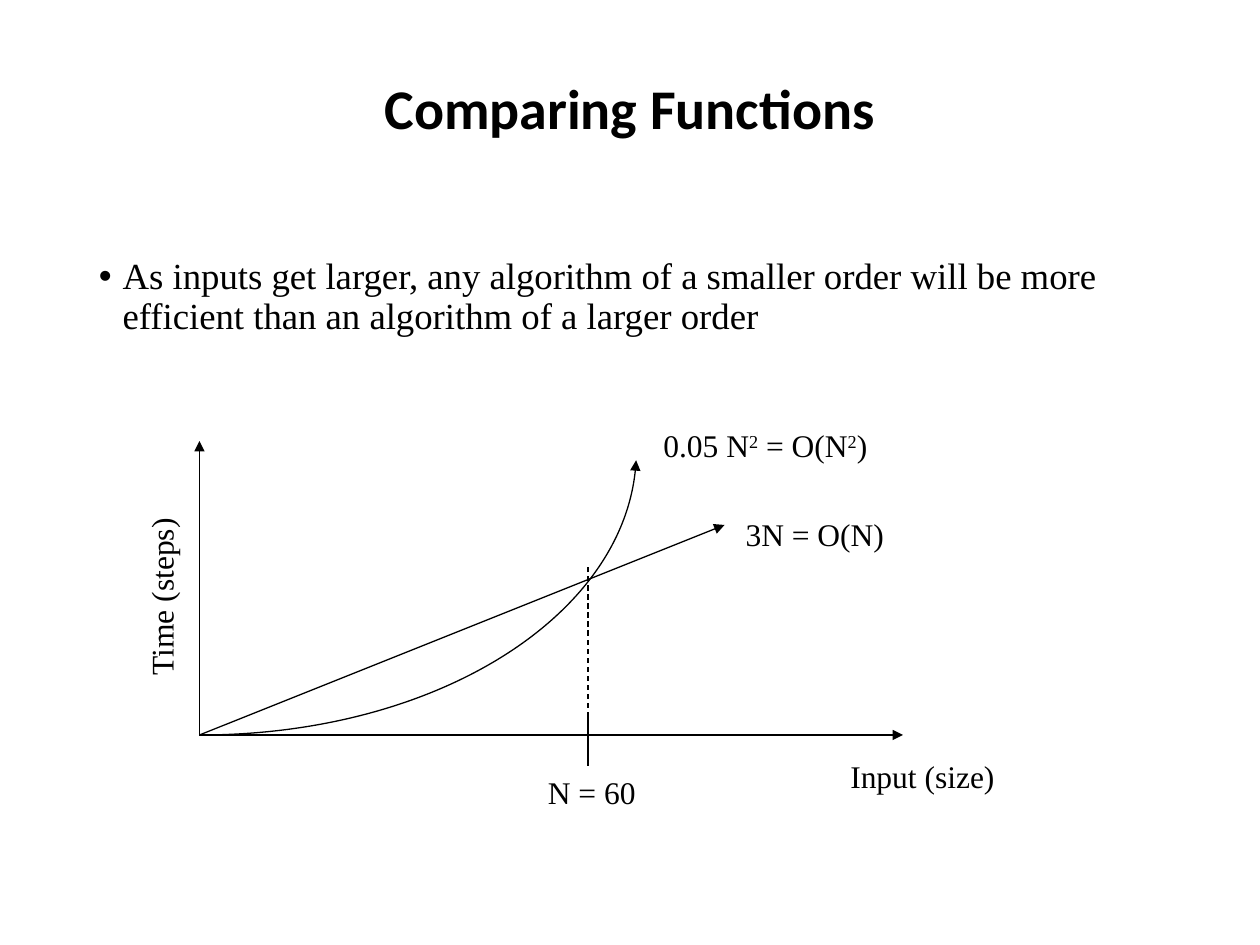
from dataclasses import dataclass

import pptx
import pptx.dml.color
import pptx.enum.dml
import pptx.enum.shapes
import pptx.enum.text
import pptx.oxml.ns
import pptx.util
from lxml import etree

Pt = pptx.util.Pt
qn = pptx.oxml.ns.qn
Align = pptx.enum.text.PP_ALIGN
Anchor = pptx.enum.text.MSO_ANCHOR
Point = tuple[float, float]

BLACK = pptx.dml.color.RGBColor(0, 0, 0)
HEADING_FONT = "Calibri"
BODY_FONT = "Times New Roman"
LINE_WIDTH = 0.75
LABEL_HEIGHT = 28.8

ORIGIN_X, ORIGIN_Y = 114, 420
ORIGIN = (ORIGIN_X, ORIGIN_Y)
CROSSING_X = 336


@dataclass(frozen=True)
class Segment:
    start: Point
    end: Point
    arrow: bool = False
    dashed: bool = False


@dataclass(frozen=True)
class Label:
    text: str
    left: float
    top: float
    width: float
    rotation: float = 0


SEGMENTS = [
    Segment(ORIGIN, (ORIGIN_X, 252), arrow=True),
    Segment(ORIGIN, (516, ORIGIN_Y), arrow=True),
    Segment(ORIGIN, (414, 300), arrow=True),
    Segment((CROSSING_X, 408), (CROSSING_X, 438)),
    Segment((CROSSING_X, ORIGIN_Y), (CROSSING_X, 324), dashed=True),
]
QUADRATIC_CURVE = [ORIGIN, (249.1, ORIGIN_Y), (359.3, 349.9), (363.5, 263)]
LABELS = [
    Label("Time (steps)", 39.6, 326.2, 105.1, rotation=270),
    Label("Input (size)", 478.8, 429, 97.2),
    Label("3N = O(N)", 419, 291, 93.6),
    Label("0.05 N^2^ = O(N^2^)", 372, 240, 132.5),
    Label("N = 60", 306, 438, 64.8),
]


def add_text(slide, text: str, left: float, top: float, width: float, height: float, *,
             size: float, font: str = BODY_FONT, bold: bool = False, align=Align.LEFT,
             anchor=Anchor.TOP, wrap: bool = True, line_spacing: float = 1,
             space_before: float = 0, bullet_indent: float = 0,
             bottom_inset: float = 3.6, rotation: float = 0) -> None:
    """Add a one-paragraph text box; text between ^ marks is superscript."""
    box = slide.shapes.add_textbox(Pt(left), Pt(top), Pt(width), Pt(height))
    box.rotation = rotation
    frame = box.text_frame
    frame.word_wrap = wrap
    frame.vertical_anchor = anchor
    frame.margin_bottom = Pt(bottom_inset)
    paragraph = frame.paragraphs[0]
    paragraph.alignment = align
    paragraph.line_spacing = line_spacing
    paragraph.space_before = Pt(space_before)
    if bullet_indent:
        properties = paragraph._p.get_or_add_pPr()
        properties.set("marL", str(Pt(bullet_indent)))
        properties.set("indent", str(-Pt(bullet_indent)))
        etree.SubElement(properties, qn("a:buFont"), typeface="Arial")
        etree.SubElement(properties, qn("a:buChar"), char="•")
    for index, part in enumerate(text.split("^")):
        run = paragraph.add_run()
        run.text = part
        run.font.name = font
        run.font.size = Pt(size)
        run.font.bold = bold
        run.font.color.rgb = BLACK
        if index % 2:
            run.font._element.set("baseline", "30000")


def style_line(line, arrow: bool = False, dashed: bool = False) -> None:
    line.color.rgb = BLACK
    line.width = Pt(LINE_WIDTH)
    if dashed:
        line.dash_style = pptx.enum.dml.MSO_LINE.DASH
    if arrow:
        etree.SubElement(line._get_or_add_ln(), qn("a:tailEnd"), type="triangle")


def add_segment(slide, segment: Segment) -> None:
    connector = slide.shapes.add_connector(
        pptx.enum.shapes.MSO_CONNECTOR.STRAIGHT,
        *(Pt(value) for value in segment.start + segment.end))
    style_line(connector.line, segment.arrow, segment.dashed)
    etree.SubElement(connector._element.spPr, qn("a:effectLst"))


def add_bezier(slide, points: list[Point]) -> None:
    """Draw an arrow-ended cubic curve from its start, two controls and end."""
    start, *others = [(Pt(x), Pt(y)) for x, y in points]
    builder = slide.shapes.build_freeform(*start)
    builder.add_line_segments(others, close=False)
    curve = builder.convert_to_shape()
    straight_parts = list(curve._element.iter(qn("a:lnTo")))
    cubic = etree.SubElement(straight_parts[0].getparent(), qn("a:cubicBezTo"))
    for part in straight_parts:
        cubic.append(part[0])
        part.getparent().remove(part)
    curve.fill.background()
    style_line(curve.line, arrow=True)
    curve.shadow.inherit = False


def main() -> None:
    presentation = pptx.Presentation()
    presentation.slide_width = Pt(720)
    presentation.slide_height = Pt(540)
    slide = presentation.slides.add_slide(presentation.slide_layouts[6])

    add_text(slide, "Comparing Functions", 49.5, 28.8, 621, 104.4, size=32,
             font=HEADING_FONT, bold=True, align=Align.CENTER,
             anchor=Anchor.MIDDLE, line_spacing=0.9, bottom_inset=38.7)
    add_text(slide, "As inputs get larger, any algorithm of a smaller order will be "
             "more efficient than an algorithm of a larger order",
             49.5, 144, 621, 342.7, size=21, line_spacing=0.9,
             space_before=7.5, bullet_indent=13.5)
    for segment in SEGMENTS:
        add_segment(slide, segment)
    add_bezier(slide, QUADRATIC_CURVE)
    for label in LABELS:
        add_text(slide, label.text, label.left, label.top, label.width, LABEL_HEIGHT,
                 size=18, wrap=False, rotation=label.rotation)
    presentation.save("out.pptx")


if __name__ == "__main__":
    main()
